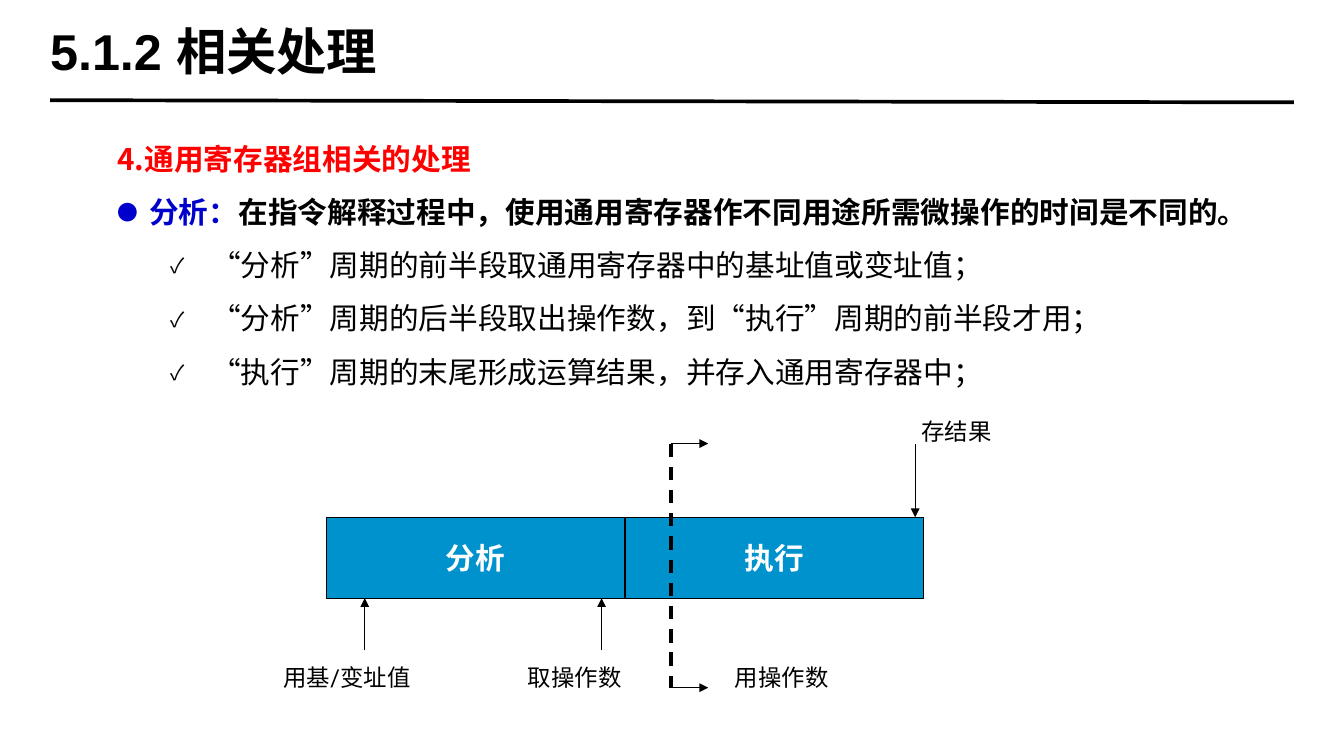
from dataclasses import dataclass

from lxml import etree
from pptx import Presentation
from pptx.dml.color import RGBColor
from pptx.enum import dml, shapes, text
from pptx.oxml import ns
from pptx.util import Inches, Pt


@dataclass(frozen=True)
class Theme:
    black: str = "000000"
    white: str = "FFFFFF"
    heading: str = "FF0000"
    keyword: str = "0000CC"
    stage: str = "0092CC"
    title_size: float = 34
    body_size: float = 20
    label_size: float = 15.8
    title_font: str = "Arial"
    body_font: str = "Noto Sans CJK SC"
    diagram_font: str = "Roboto"


theme = Theme()


def add_run(paragraph, wording, size, font, color, bold=False):
    run = paragraph.add_run()
    run.text = wording
    for key, value in {"size": Pt(size), "name": font, "bold": bold}.items():
        setattr(run.font, key, value)
    run.font.color.rgb = RGBColor.from_string(color)
    east_asian = etree.SubElement(run.font._element, ns.qn("a:ea"))
    east_asian.set("typeface", theme.body_font)


def add_line(start, end, width=0.75, arrow=False, dashed=False):
    line = slide.shapes.add_connector(
        shapes.MSO_CONNECTOR.STRAIGHT, *map(Inches, start + end))
    line.line.color.rgb = RGBColor.from_string(theme.black)
    line.line.width = Pt(width)
    if dashed:
        line.line.dash_style = dml.MSO_LINE.DASH
    if arrow:
        head = etree.SubElement(line.line._get_or_add_ln(), ns.qn("a:tailEnd"))
        head.set("type", "triangle")
    etree.SubElement(line._element.spPr, ns.qn("a:effectLst"))


deck = Presentation()
deck.slide_width, deck.slide_height = Inches(12.6), Inches(7.09)
slide = deck.slides.add_slide(deck.slide_layouts[1])

# Title and rule
title, body = slide.shapes.title, slide.placeholders[1]
for holder, box in ((title, (0.47, 0.16, 11.65, 0.63)), (body, (1, 1.1, 10.59, 2.91))):
    holder.left, holder.top, holder.width, holder.height = map(Inches, box)
    holder.text_frame.auto_size = text.MSO_AUTO_SIZE.NONE
    holder.text_frame.word_wrap = True

title_format = {"margin_left": 0, "margin_right": 0, "margin_top": 0, "margin_bottom": 0,
                "vertical_anchor": text.MSO_ANCHOR.MIDDLE}
for key, value in title_format.items():
    setattr(title.text_frame, key, value)
heading = title.text_frame.paragraphs[0]
heading.alignment = text.PP_ALIGN.LEFT
add_run(heading, "5.1.2 相关处理", theme.title_size, theme.title_font, theme.black, True)
add_line((0.47, 0.94), (12.13, 0.96), width=2.5)

# Body: level, left margin, hanging indent, bullet, bold, runs
points = [
    (0, 0, 0, None, True, [("4.通用寄存器组相关的处理", theme.heading)]),
    (0, 0.3, -0.3, "●", True, [
        ("分析：", theme.keyword),
        ("在指令解释过程中，使用通用寄存器作不同用途所需微操作的时间是不同的。", theme.black)]),
]
for step in ("“分析”周期的前半段取通用寄存器中的基址值或变址值；",
             "“分析”周期的后半段取出操作数，到“执行”周期的前半段才用；",
             "“执行”周期的末尾形成运算结果，并存入通用寄存器中；"):
    points.append((1, 0.88, -0.38, "✓", False, [(step, theme.black)]))

for number, (level, margin, indent, bullet, bold, runs) in enumerate(points):
    point = body.text_frame.add_paragraph() if number else body.text_frame.paragraphs[0]
    point_format = {"level": level, "line_spacing": 1.5, "space_before": Pt(0),
                    "space_after": Pt(0), "alignment": text.PP_ALIGN.LEFT}
    for key, value in point_format.items():
        setattr(point, key, value)
    properties = point._p.get_or_add_pPr()
    properties.set("marL", str(Inches(margin)))
    properties.set("indent", str(Inches(indent)))
    if bullet:
        etree.SubElement(properties, ns.qn("a:buSzPct")).set("val", "70000")
        etree.SubElement(properties, ns.qn("a:buFont")).set("typeface", theme.body_font)
        etree.SubElement(properties, ns.qn("a:buChar")).set("char", bullet)
    else:
        etree.SubElement(properties, ns.qn("a:buNone"))
    for wording, color in runs:
        add_run(point, wording, theme.body_size, theme.body_font, color, bold)

# Two pipeline stages side by side
stage_left, stage_top, stage_width, stage_height = 3.06, 4.85, 2.8, 0.76
for column, stage_name in enumerate(("分析", "执行")):
    stage = slide.shapes.add_shape(
        shapes.MSO_SHAPE.RECTANGLE, Inches(stage_left + column * stage_width),
        Inches(stage_top), Inches(stage_width), Inches(stage_height))
    stage.shadow.inherit = False
    stage.fill.solid()
    stage.fill.fore_color.rgb = RGBColor.from_string(theme.stage)
    stage.line.color.rgb = RGBColor.from_string(theme.black)
    stage.line.width = Pt(0.75)
    stage.text_frame.word_wrap = False
    stage.text_frame.vertical_anchor = text.MSO_ANCHOR.MIDDLE
    caption = stage.text_frame.paragraphs[0]
    caption.alignment = text.PP_ALIGN.CENTER
    add_run(caption, stage_name, theme.body_size, theme.diagram_font, theme.white, True)

# Register accesses and the moment the operand is used
stage_bottom = stage_top + stage_height
use_x, use_top, use_bottom = 6.29, 4.16, 6.45
for fetch_x in (3.42, 5.64):
    add_line((fetch_x, 6.1), (fetch_x, stage_bottom), arrow=True)
for use_y in (use_bottom, use_top):
    add_line((use_x, use_y), (use_x + 0.35, use_y), arrow=True)
add_line((use_x, use_top), (use_x, use_bottom), width=2.25, dashed=True)
add_line((8.58, use_top), (8.58, stage_top), arrow=True)

for wording, left, top, width, wrap in (
        ("用基/变址值", 2.56, 6.17, 1.39, False),
        ("取操作数", 4.85, 6.17, 1.09, False),
        ("用操作数", 6.79, 6.17, 1.09, False),
        ("存结果", 8.54, 3.86, 1.22, True)):
    label = slide.shapes.add_textbox(*map(Inches, (left, top, width, 0.37)))
    label.text_frame.word_wrap = wrap
    add_run(label.text_frame.paragraphs[0], wording,
            theme.label_size, theme.diagram_font, theme.black)

deck.save("out.pptx")
